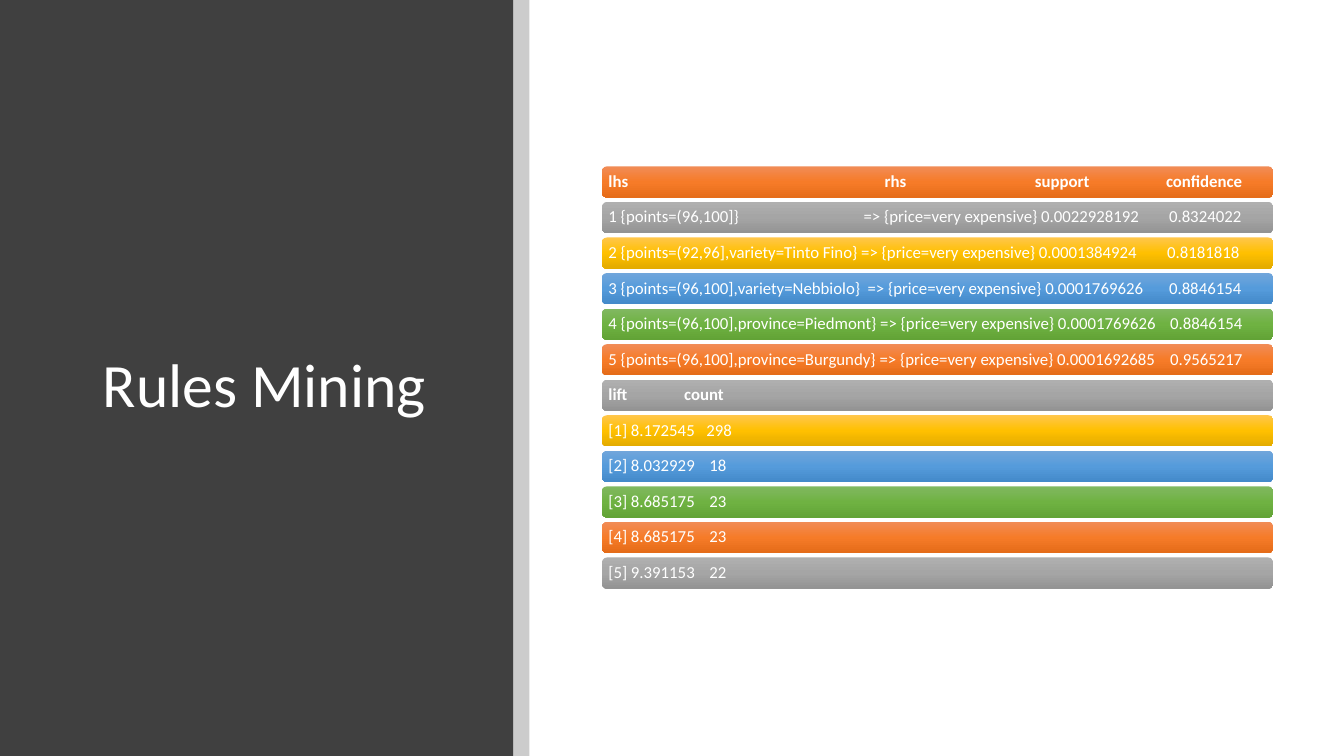
from copy import deepcopy
from dataclasses import dataclass

from lxml import etree
from pptx import Presentation
from pptx import util as u
from pptx.dml import color
from pptx.enum import shapes, text
from pptx.oxml import ns

FONT = "Calibri"
WHITE = "FFFFFF"
ORANGE = ("F18C57", "F67B28", "E56C19")
GRAY = ("AFAFAF", "A5A5A5", "939393")
GOLD = ("FFC64B", "FFC000", "E3AB00")
BLUE = ("71A6DB", "559BDB", "448ACA")
GREEN = ("81B861", "6FB242", "62A336")
BAR_COLORS = (ORANGE, GRAY, GOLD, BLUE, GREEN)

BAR_LEFT, BAR_WIDTH, BAR_HEIGHT = 5.97, 6.66, 0.31
FIRST_TOP, LAST_TOP = 1.65, 5.53


@dataclass(frozen=True)
class RuleBar:
    fields: tuple[str, ...]
    stops: tuple[float, ...]
    bold: bool = False


RULE_BARS = (
    RuleBar(("lhs", "rhs", "support", "confidence"), (2.74, 4.23, 5.53), True),
    RuleBar(("1 {points=(96,100]}", "=> {price=very expensive} 0.0022928192", "0.8324022"), (2.53, 5.56)),
    RuleBar(("2 {points=(92,96],variety=Tinto Fino} => {price=very expensive} 0.0001384924", "0.8181818"), (5.54,)),
    RuleBar(("3 {points=(96,100],variety=Nebbiolo}", "=> {price=very expensive} 0.0001769626", "0.8846154"), (2.57, 5.56)),
    RuleBar(("4 {points=(96,100],province=Piedmont} => {price=very expensive} 0.0001769626", "0.8846154"), (5.57,)),
    RuleBar(("5 {points=(96,100],province=Burgundy} => {price=very expensive} 0.0001692685", "0.9565217"), (5.57,)),
    RuleBar(("lift", "count"), (0.75,), True),
    RuleBar(("[1] 8.172545", "298"), (0.97,)),
    RuleBar(("[2] 8.032929", "18"), (1.0,)),
    RuleBar(("[3] 8.685175", "23"), (1.0,)),
    RuleBar(("[4] 8.685175", "23"), (1.0,)),
    RuleBar(("[5] 9.391153", "22"), (1.0,)),
)


def rgb(value: str) -> color.RGBColor:
    return color.RGBColor.from_string(value)


def add_panel(slide, left: float, width: float, fill: str, opacity: int = 100) -> None:
    panel = slide.shapes.add_shape(
        shapes.MSO_SHAPE.RECTANGLE, u.Inches(left), 0, u.Inches(width), u.Inches(7.5)
    )
    panel.shadow.inherit = False
    panel.line.fill.background()
    panel.fill.solid()
    panel.fill.fore_color.rgb = rgb(fill)
    if opacity < 100:
        tint = panel._element.spPr.find(f".//{ns.qn('a:srgbClr')}")
        etree.SubElement(tint, ns.qn("a:alpha"), val=str(opacity * 1000))


def style_paragraph(paragraph, size: int, bold: bool = False) -> None:
    paragraph.alignment = text.PP_ALIGN.LEFT
    paragraph.line_spacing = 0.9
    paragraph.font.name = FONT
    paragraph.font.size = u.Pt(size)
    paragraph.font.bold = bold
    paragraph.font.color.rgb = rgb(WHITE)


def add_title(slide, wording: str) -> None:
    title = slide.shapes.add_textbox(
        u.Inches(0.92), u.Inches(0.89), u.Inches(3.65), u.Inches(5.91)
    ).text_frame
    title.word_wrap = True
    title.vertical_anchor = text.MSO_ANCHOR.MIDDLE
    title.text = wording
    style_paragraph(title.paragraphs[0], 44)


def fill_gradient(bar, colors: tuple[str, ...]) -> None:
    bar.fill.gradient()
    bar.fill.gradient_angle = 270
    stop_list = bar._element.spPr.find(f".//{ns.qn('a:gsLst')}")
    stop_list.insert(1, deepcopy(stop_list[0]))
    for index, (stop, value) in enumerate(zip(bar.fill.gradient_stops, colors)):
        stop.position = index / 2
        stop.color.rgb = rgb(value)


def set_tab_stops(paragraph, stops: tuple[float, ...]) -> None:
    properties = paragraph._p.get_or_add_pPr()
    tab_list = etree.Element(ns.qn("a:tabLst"))
    for stop in stops:
        etree.SubElement(tab_list, ns.qn("a:tab"), pos=str(u.Inches(stop)), algn="l")
    properties.find(ns.qn("a:defRPr")).addprevious(tab_list)


def add_rule_bar(slide, rule: RuleBar, top: float, colors: tuple[str, ...]) -> None:
    bar = slide.shapes.add_shape(
        shapes.MSO_SHAPE.ROUNDED_RECTANGLE,
        u.Inches(BAR_LEFT), u.Inches(top), u.Inches(BAR_WIDTH), u.Inches(BAR_HEIGHT),
    )
    bar.shadow.inherit = False
    bar.line.fill.background()
    fill_gradient(bar, colors)
    frame = bar.text_frame
    frame.word_wrap = True
    frame.vertical_anchor = text.MSO_ANCHOR.MIDDLE
    frame.margin_left = frame.margin_right = u.Inches(0.05)
    frame.margin_top = frame.margin_bottom = u.Inches(0.05)
    frame.text = "\t".join(rule.fields)
    style_paragraph(frame.paragraphs[0], 12, rule.bold)
    set_tab_stops(frame.paragraphs[0], rule.stops)


def main() -> None:
    deck = Presentation()
    deck.slide_width, deck.slide_height = u.Inches(13.33), u.Inches(7.5)
    slide = deck.slides.add_slide(deck.slide_layouts[6])
    add_panel(slide, 0, 5.09, "404040")
    add_title(slide, "Rules Mining")
    add_panel(slide, 5.09, 0.16, "000000", opacity=20)
    pitch = (LAST_TOP - FIRST_TOP) / (len(RULE_BARS) - 1)
    for index, rule in enumerate(RULE_BARS):
        colors = BAR_COLORS[index % len(BAR_COLORS)]
        add_rule_bar(slide, rule, FIRST_TOP + index * pitch, colors)
    deck.save("out.pptx")


if __name__ == "__main__":
    main()
